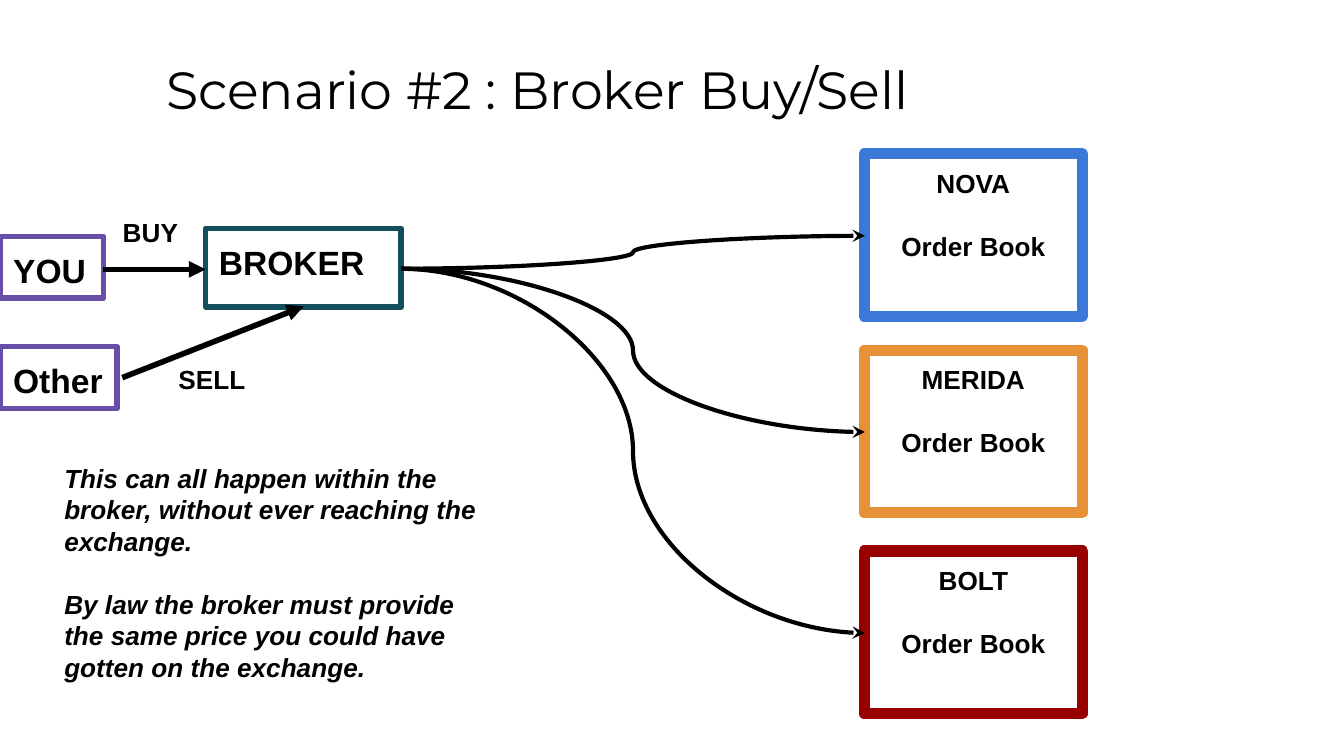
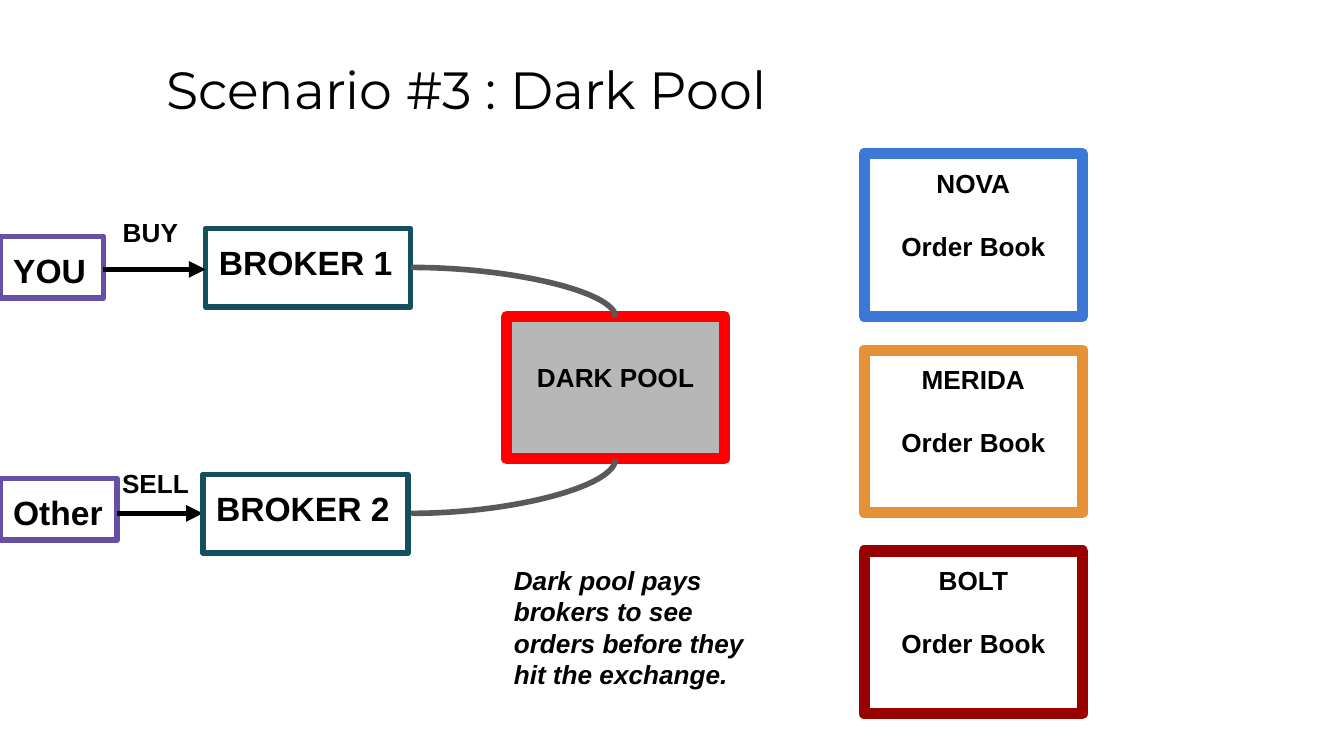
from dataclasses import dataclass
from lxml.etree import SubElement
from pptx import Presentation
from pptx.dml.color import RGBColor
from pptx.enum.shapes import MSO_CONNECTOR, MSO_SHAPE
from pptx.enum.text import MSO_ANCHOR, PP_ALIGN
from pptx.oxml.ns import qn
from pptx.util import Pt

PX = 4572


@dataclass(frozen=True)
class Theme:
    black: str = "000000"
    purple: str = "674EA7"
    teal: str = "134F5C"
    blue: str = "3C78D8"
    orange: str = "E69138"
    maroon: str = "990000"
    red: str = "FF0000"
    silver: str = "B7B7B7"
    gray: str = "595959"
    head: str = "Montserrat"
    body: str = "Arial"
    title: int = 28
    name: int = 18
    label: int = 14
    gap: int = 17
    thin: float = 2.25
    rule: int = 3
    frame: int = 6


T = Theme()


def box(slide, at, words, size=T.label, line=None, width=T.rule, fill=None,
        center=False, top=20, font=T.body, bold=True, italic=False):
    at = [n * PX for n in at]
    if line:
        shape = slide.shapes.add_shape(MSO_SHAPE.RECTANGLE, *at)
        shape.shadow.inherit = False
        shape.line.color.rgb = RGBColor.from_string(line)
        shape.line.width = Pt(width)
        SubElement(shape.line._get_or_add_ln(), qn("a:round"))
        if fill:
            shape.fill.solid()
            shape.fill.fore_color.rgb = RGBColor.from_string(fill)
        else:
            shape.fill.background()
    else:
        shape = slide.shapes.add_textbox(*at)
    frame = shape.text_frame
    frame.word_wrap = True
    frame.vertical_anchor = MSO_ANCHOR.TOP
    frame.margin_left = frame.margin_bottom = 20 * PX
    frame.margin_right = (20 if center else 10) * PX
    frame.margin_top = top * PX
    frame.text = words
    for i, para in enumerate(frame.paragraphs):
        para.alignment = PP_ALIGN.CENTER if center else PP_ALIGN.LEFT
        if i:
            para.space_before = Pt(T.gap)
        for run in para.runs:
            run.font.name = font
            run.font.size = Pt(size)
            run.font.bold = bold
            run.font.italic = italic
            run.font.color.rgb = RGBColor.from_string(T.black)


def link(slide, ends, kind=MSO_CONNECTOR.STRAIGHT, tip="triangle",
         color=T.black, width=T.rule, bend=None):
    wire = slide.shapes.add_connector(kind, *[n * PX for n in ends])
    wire.line.color.rgb = RGBColor.from_string(color)
    wire.line.width = Pt(width)
    props = wire._element.spPr
    if tip:
        SubElement(wire.line._get_or_add_ln(), qn("a:tailEnd"), type=tip)
    if bend:
        props.find(qn("a:prstGeom")).set("prst", bend)
    SubElement(props, qn("a:effectLst"))


deck = Presentation()
deck.slide_width = 2000 * PX
deck.slide_height = 1125 * PX

books = [("NOVA", 229, T.blue), ("MERIDA", 521, T.orange), ("BOLT", 820, T.maroon)]
scenes = [
    ("Scenario #2 : Broker Buy/Sell", "BROKER", 291, 516, (246, 521)),
    ("Scenario #3 : Dark Pool", "BROKER 1", 305, 712, (162, 676)),
]
slides = []
for title, broker, wide, other, sell in scenes:
    slide = deck.slides.add_slide(deck.slide_layouts[6])
    slides.append(slide)
    box(slide, (228, 65, 1704, 126), title, T.title, font=T.head, bold=False)
    box(slide, (0, 352, 154, 92), "YOU", T.name, T.purple)
    box(slide, (0, other, 174, 92), "Other", T.name, T.purple)
    box(slide, (306, 340, wide, 117), broker, T.name, T.teal)
    box(slide, (163, 302, 134, 74), "BUY")
    box(slide, (*sell, 152, 74), "SELL")
    link(slide, (154, 401, 306, 401))
    for name, top, color in books:
        box(slide, (1286, top, 325, 242), name + "\nOrder Book",
            line=color, width=T.frame, center=True)

route, pool = slides

for name, top, color in books:
    link(route, (597, 400, 1287, top + 122), MSO_CONNECTOR.CURVE, "stealth", width=T.thin)
link(route, (182, 562, 452, 456))
box(route, (76, 668, 676, 294),
    "This can all happen within the broker, without ever reaching the exchange.\n"
    "By law the broker must provide the same price you could have gotten on the exchange.",
    italic=True)

link(pool, (174, 764, 302, 764))
box(pool, (302, 706, 305, 117), "BROKER 2", T.name, T.teal)
box(pool, (754, 471, 324, 212), "DARK POOL", line=T.red, width=T.frame,
    fill=T.silver, center=True, top=67)
for start, end in [(398, 472), (764, 683)]:
    link(pool, (612, start, 916, end), MSO_CONNECTOR.CURVE, None, T.gray,
         bend="curvedConnector2")
box(pool, (745, 820, 386, 212),
    "Dark pool pays brokers to see orders before they hit the exchange.", italic=True)

deck.save("out.pptx")
